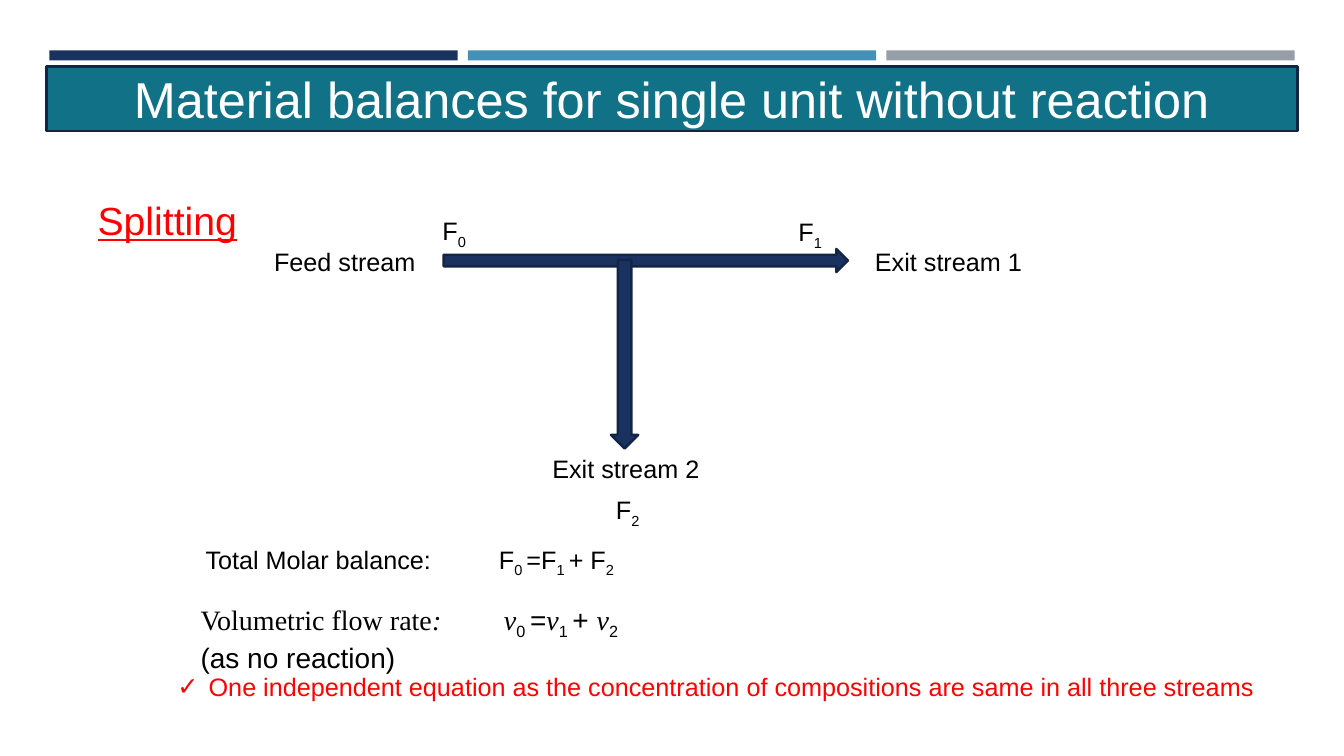
from dataclasses import dataclass

from lxml.etree import SubElement
from pptx import Presentation
from pptx.dml.color import RGBColor
from pptx.enum.shapes import MSO_SHAPE
from pptx.enum.text import MSO_ANCHOR, MSO_AUTO_SIZE, PP_ALIGN
from pptx.oxml.ns import qn
from pptx.util import Inches, Pt


@dataclass(frozen=True)
class Theme:
    navy: RGBColor = RGBColor.from_string("1A3260")
    blue: RGBColor = RGBColor.from_string("4590B8")
    grey: RGBColor = RGBColor.from_string("969FA7")
    teal: RGBColor = RGBColor.from_string("117186")
    outline: RGBColor = RGBColor.from_string("132547")
    white: RGBColor = RGBColor.from_string("FFFFFF")
    black: RGBColor = RGBColor.from_string("000000")
    red: RGBColor = RGBColor.from_string("FF0000")
    sans: str = "Arial"
    serif: str = "Times New Roman"
    title: Pt = Pt(36)
    heading: Pt = Pt(28)
    flow: Pt = Pt(20)
    body: Pt = Pt(18)
    border: Pt = Pt(1.75)


theme = Theme()


def write(para, pieces, size, color):
    """Fill para with (text, style) pieces; style is "", "sub", "serif" or "italic"."""
    para.font.size = size
    para.font.color.rgb = color
    para.font.name = theme.sans
    for text, style in pieces:
        span = para.add_run()
        span.text = text
        if style == "sub":
            span._r.get_or_add_rPr().set("baseline", "-25000")
        elif style:
            span.font.name = theme.serif
            span.font.italic = style == "italic"


def paint(shape, fill, bordered=True):
    shape.shadow.inherit = False
    shape.fill.solid()
    shape.fill.fore_color.rgb = fill
    if bordered:
        shape.line.color.rgb = theme.outline
        shape.line.width = theme.border
    else:
        shape.line.fill.background()


deck = Presentation()
deck.slide_width, deck.slide_height = Inches(13.33), Inches(7.5)
slide = deck.slides.add_slide(deck.slide_layouts[1])
shapes = slide.shapes

# Three bars across the top
for index, color in enumerate((theme.navy, theme.blue, theme.grey)):
    bar = shapes.add_shape(MSO_SHAPE.RECTANGLE, Inches(0.49 + 4.15 * index),
                           Inches(0.5), Inches(4.05), Inches(0.1))
    paint(bar, color, bordered=False)

# Title band
title = shapes.title
title.left, title.top = Inches(0.46), Inches(0.66)
title.width, title.height = Inches(12.41), Inches(0.64)
title.fill.solid()
title.fill.fore_color.rgb = theme.teal
title.line.color.rgb = theme.outline
title.line.width = theme.border
title.text_frame.auto_size = MSO_AUTO_SIZE.NONE
title.text_frame.vertical_anchor = MSO_ANCHOR.MIDDLE
title_para = title.text_frame.paragraphs[0]
title_para.alignment = PP_ALIGN.CENTER
write(title_para, [("Material balances for single unit without reaction", "")],
      theme.title, theme.white)

# Feed arrow with its branch
splitter = shapes.add_group_shape()
for kind, left, top, width, height in (
    (MSO_SHAPE.RIGHT_ARROW, 4.4, 2.47, 4.01, 0.23),
    (MSO_SHAPE.DOWN_ARROW, 6.06, 2.58, 0.27, 1.87),
):
    arrow = splitter.shapes.add_shape(kind, Inches(left), Inches(top),
                                      Inches(width), Inches(height))
    paint(arrow, theme.navy)

# Heading and stream labels
heading = shapes.add_textbox(Inches(0.87), Inches(1.9), Inches(1.6), Inches(0.57))
heading.text_frame.word_wrap = False
heading_para = heading.text_frame.paragraphs[0]
heading_para.font.underline = True
write(heading_para, [("Splitting", "")], theme.heading, theme.red)

for left, top, width, pieces in (
    (2.62, 2.39, 1.62, [("Feed stream", "")]),
    (8.58, 2.39, 1.67, [("Exit stream 1", "")]),
    (5.38, 4.45, 1.67, [("Exit stream 2", "")]),
    (4.29, 2.09, 0.45, [("F", ""), ("0", "sub")]),
    (7.82, 2.1, 0.45, [("F", ""), ("1", "sub")]),
    (6.01, 4.86, 0.45, [("F", ""), ("2", "sub")]),
):
    label = shapes.add_textbox(Inches(left), Inches(top), Inches(width), Inches(0.4))
    label.text_frame.word_wrap = False
    write(label.text_frame.paragraphs[0], pieces, theme.body, theme.black)

# Balance equations, each aligned at a tab stop
molar = [("Total Molar balance:\t", ""), ("F", ""), ("0 ", "sub"), ("=F", ""),
         ("1 ", "sub"), ("+ F", ""), ("2", "sub")]
volumetric = [("Volumetric flow rate", "serif"), (":\tv", "italic"), ("0 ", "sub"),
              ("=", ""), ("v", "italic"), ("1 ", "sub"), ("+ ", ""),
              ("v", "italic"), ("2", "sub")]
for left, top, width, height, tab, size, lines in (
    (1.94, 5.35, 5.33, 0.71, 2.91, theme.body, [molar]),
    (1.89, 5.93, 5.69, 0.77, 3.01, theme.flow, [volumetric, [("(as no reaction)", "")]]),
):
    box = shapes.add_textbox(Inches(left), Inches(top), Inches(width), Inches(height))
    frame = box.text_frame
    frame.word_wrap = True
    for index, pieces in enumerate(lines):
        para = frame.add_paragraph() if index else frame.paragraphs[0]
        if index == 0:
            tabs = SubElement(para._p.get_or_add_pPr(), qn("a:tabLst"))
            SubElement(tabs, qn("a:tab"), pos=str(Inches(tab)), algn="l")
        write(para, pieces, size, theme.black)

# Conclusion
conclusion = slide.placeholders[1]
conclusion.left, conclusion.top = Inches(1.66), Inches(6.61)
conclusion.width, conclusion.height = Inches(11.05), Inches(0.4)
conclusion.text_frame.auto_size = MSO_AUTO_SIZE.NONE
conclusion.text_frame.word_wrap = False
conclusion_para = conclusion.text_frame.paragraphs[0]
properties = conclusion_para._p.get_or_add_pPr()
properties.set("marL", str(Inches(0.31)))
properties.set("indent", str(-Inches(0.31)))
SubElement(properties, qn("a:buFont"), typeface=theme.sans)
SubElement(properties, qn("a:buChar"), char="✓")
conclusion_para.space_before = Pt(0)
write(conclusion_para,
      [("One independent equation as the concentration of compositions "
        "are same in all three streams", "")], theme.body, theme.red)

deck.save("out.pptx")
